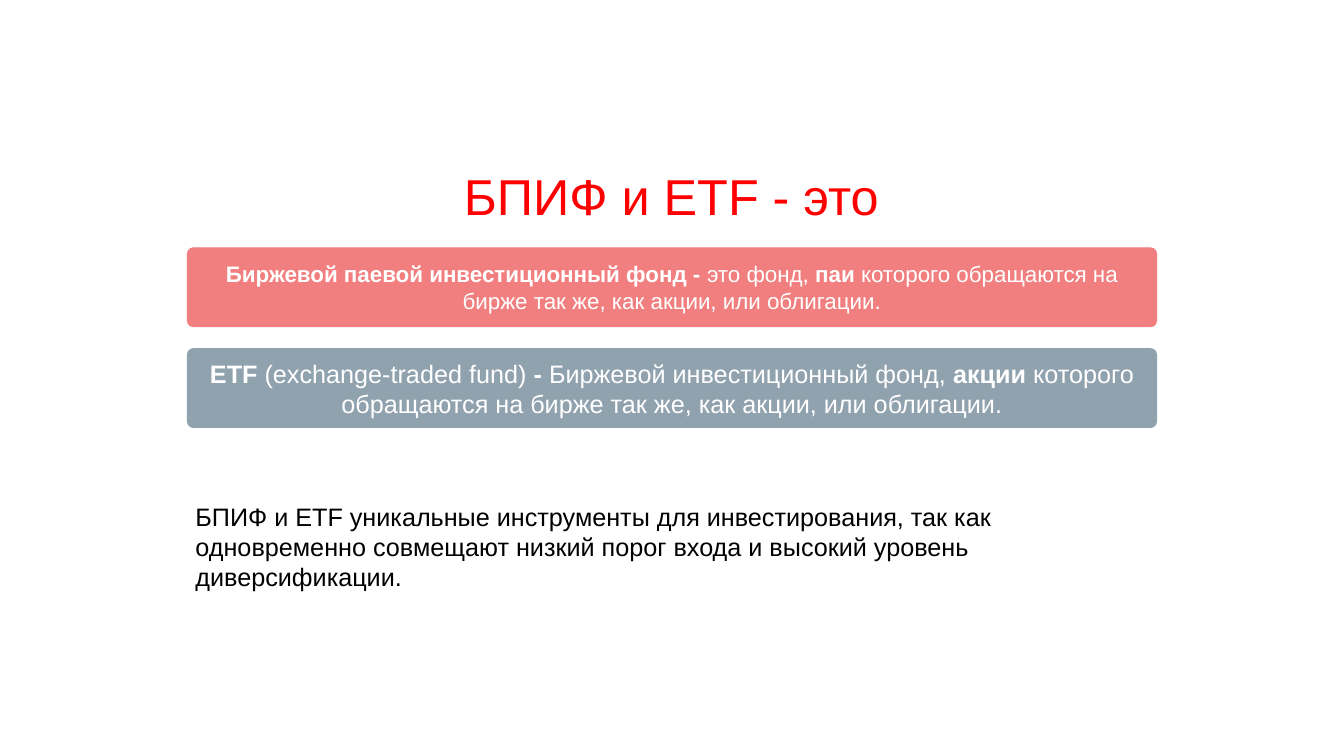
from pptx import Presentation
from pptx.dml.color import RGBColor
from pptx.enum.shapes import MSO_SHAPE
from pptx.enum.text import MSO_ANCHOR, PP_ALIGN
from pptx.util import Inches, Pt

ROUNDED = MSO_SHAPE.ROUNDED_RECTANGLE
TOP, MIDDLE = MSO_ANCHOR.TOP, MSO_ANCHOR.MIDDLE
LEFT, CENTER = PP_ALIGN.LEFT, PP_ALIGN.CENTER

CARD_TOP = 2.46
CARD_STEP = 1
CARDS = [
    ("F17F7F", 16, [
        "Биржевой паевой инвестиционный фонд - ",
        "это фонд, ",
        "паи",
        " которого обращаются на бирже так же, как акции, или облигации.",
    ]),
    ("91A2AF", 18, [
        "ETF ",
        "(exchange-traded fund) ",
        "-",
        " Биржевой инвестиционный фонд, ",
        "акции",
        " которого обращаются на бирже так же, как акции, или облигации.",
    ]),
]


def color(value):
    return RGBColor.from_string(value)


class Page:
    font = "Arial"

    def __init__(self, deck):
        self.slide = deck.slides.add_slide(deck.slide_layouts[6])

    def style(self, span, size, ink, bold=False):
        span.font.name = self.font
        span.font.size = Pt(size)
        span.font.color.rgb = color(ink)
        span.font.bold = bold

    def text(self, left, top, width, height, words, size, ink, align=LEFT, anchor=TOP):
        box = self.slide.shapes.add_textbox(
            Inches(left), Inches(top), Inches(width), Inches(height))
        frame = box.text_frame
        frame.word_wrap = True
        frame.vertical_anchor = anchor
        frame.text = words
        para = frame.paragraphs[0]
        para.alignment = align
        self.style(para.runs[0], size, ink)

    def card(self, left, top, width, height, fill, size, parts):
        box = self.slide.shapes.add_shape(
            ROUNDED, Inches(left), Inches(top), Inches(width), Inches(height))
        box.adjustments[0] = 0.075
        box.shadow.inherit = False
        box.fill.solid()
        box.fill.fore_color.rgb = color(fill)
        box.line.color.rgb = color(fill)
        box.line.width = Pt(0.85)
        frame = box.text_frame
        frame.word_wrap = True
        frame.vertical_anchor = MIDDLE
        para = frame.paragraphs[0]
        para.alignment = CENTER
        for index, part in enumerate(parts):
            span = para.add_run()
            span.text = part
            self.style(span, size, "FFFFFF", bold=index % 2 == 0)


def main():
    deck = Presentation()
    deck.slide_width = Inches(13.33)
    deck.slide_height = Inches(7.5)
    page = Page(deck)
    page.text(1.61, 1.55, 10.1, 0.78, "БПИФ и ETF - это", 36, "FF0000", CENTER, MIDDLE)
    for row, (fill, size, parts) in enumerate(CARDS):
        page.card(1.86, CARD_TOP + row * CARD_STEP, 9.61, 0.78, fill, size, parts)
    page.text(
        1.84, 4.92, 9.63, 1.01,
        "БПИФ и ETF уникальные инструменты для инвестирования, так как "
        "одновременно совмещают низкий порог входа и высокий уровень диверсификации.",
        18, "000000")
    deck.save("out.pptx")


if __name__ == "__main__":
    main()
